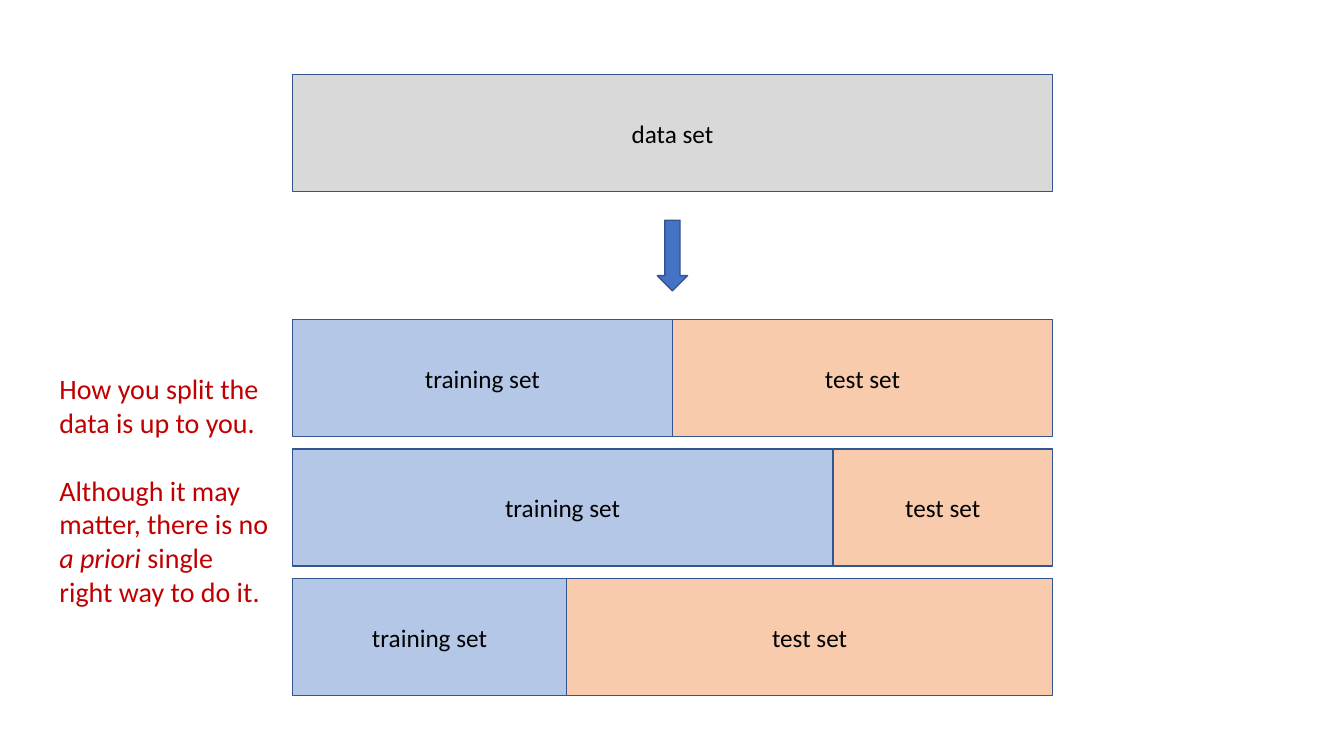
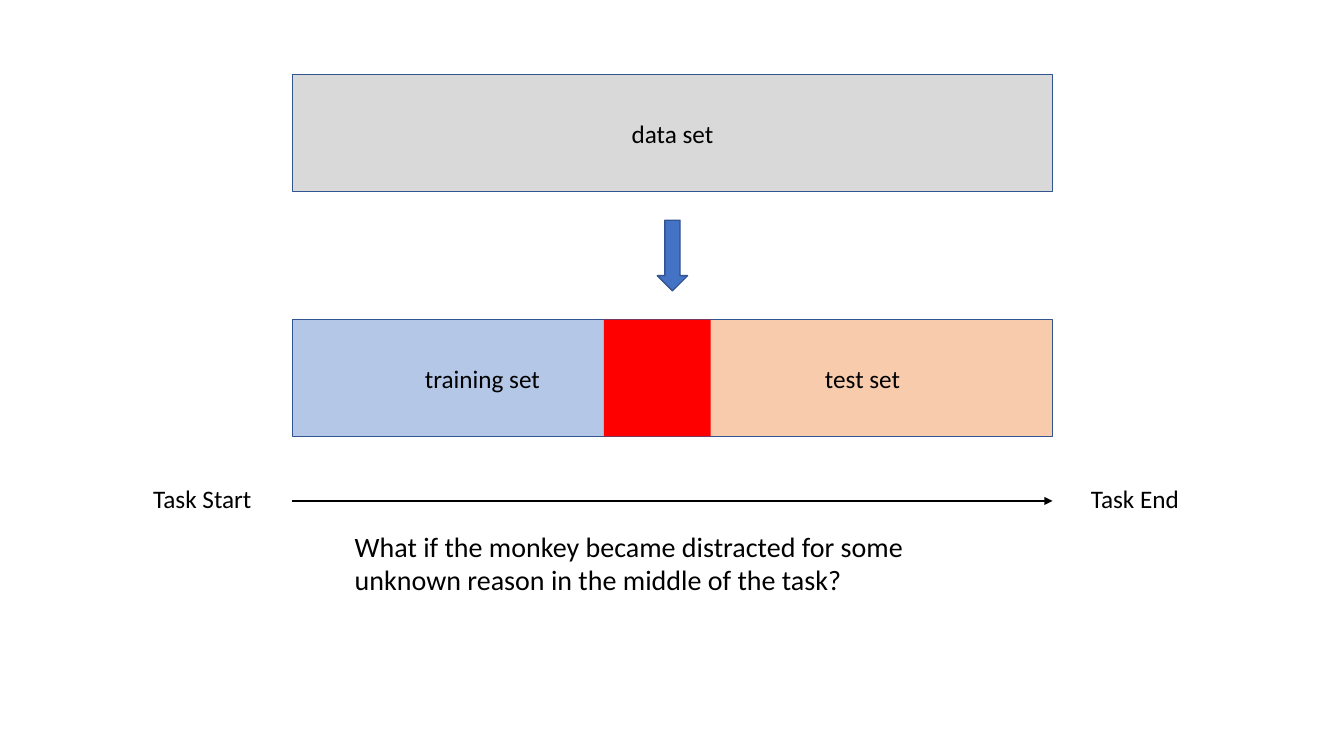
from dataclasses import dataclass

from lxml.etree import SubElement
from pptx import Presentation
from pptx.dml.color import RGBColor
from pptx.enum.shapes import MSO_CONNECTOR as Connector, MSO_SHAPE as Shape
from pptx.enum.text import MSO_ANCHOR as Anchor, PP_ALIGN as Align
from pptx.oxml.ns import qn
from pptx.util import Inches, Pt

COLORS = {
    "data": "D9D9D9",
    "training": "B4C7E7",
    "test": "F8CBAD",
    "arrow": "4472C4",
    "outline": "325491",
    "distraction": "FF0000",
    "note": "C00000",
    "text": "000000",
}
FONT = "Calibri"

# Bar geometry in inches
BAR_LEFT, BAR_WIDTH, BAR_HEIGHT = 2.9, 7.54, 1.16
BAR_RIGHT = BAR_LEFT + BAR_WIDTH
BAR_MIDDLE = BAR_LEFT + BAR_WIDTH / 2
DATA_TOP, SPLIT_TOP, SPLIT_PITCH = 0.74, 3.17, 1.285
ARROW_WIDTH, ARROW_HEIGHT = 0.3, 0.7


@dataclass(frozen=True)
class Box:
    left: float
    top: float
    width: float
    height: float

    def emu(self):
        return [Inches(v) for v in (self.left, self.top, self.width, self.height)]


@dataclass(frozen=True)
class Run:
    text: str
    italic: bool = False


@dataclass(frozen=True)
class Label:
    box: Box
    paragraphs: list[list[Run]]
    size: int = 18
    color: str = "text"
    wrap: bool = True


def rgb(name: str) -> RGBColor:
    return RGBColor.from_string(COLORS[name])


def add_run(p, run: Run, size: int, color: str) -> None:
    r = p.add_run()
    r.text = run.text
    r.font.name = FONT
    r.font.size = Pt(size)
    r.font.italic = run.italic
    r.font.color.rgb = rgb(color)


def add_block(slide, box: Box, fill: str, text: str = "",
              kind: Shape = Shape.RECTANGLE, outlined: bool = True) -> None:
    sp = slide.shapes.add_shape(kind, *box.emu())
    sp.shadow.inherit = False
    sp.fill.solid()
    sp.fill.fore_color.rgb = rgb(fill)
    if outlined:
        sp.line.color.rgb = rgb("outline")
        sp.line.width = Pt(1)
    else:
        sp.line.fill.background()
    if text:
        tf = sp.text_frame
        tf.vertical_anchor = Anchor.MIDDLE
        p = tf.paragraphs[0]
        p.alignment = Align.CENTER
        add_run(p, Run(text), 18, "text")


def add_label(slide, label: Label) -> None:
    tf = slide.shapes.add_textbox(*label.box.emu()).text_frame
    tf.word_wrap = label.wrap
    for i, runs in enumerate(label.paragraphs):
        p = tf.add_paragraph() if i else tf.paragraphs[0]
        if i:
            p.space_before = Pt(label.size * 1.22)  # one line of text
        for run in runs:
            add_run(p, run, label.size, label.color)


def add_split(slide, row: int, training_width: float) -> None:
    top = SPLIT_TOP + row * SPLIT_PITCH
    border = BAR_LEFT + training_width
    add_block(slide, Box(BAR_LEFT, top, training_width, BAR_HEIGHT),
              "training", "training set")
    add_block(slide, Box(border, top, BAR_RIGHT - border, BAR_HEIGHT),
              "test", "test set")


def add_timeline(slide, y: float) -> None:
    line = slide.shapes.add_connector(
        Connector.STRAIGHT, Inches(BAR_LEFT), Inches(y), Inches(BAR_RIGHT), Inches(y))
    line.line.color.rgb = rgb("text")
    line.line.width = Pt(1.5)
    SubElement(line.line._get_or_add_ln(), qn("a:tailEnd"), type="triangle")
    SubElement(line._element.spPr, qn("a:effectLst"))


def add_split_slide(prs, training_widths: list[float]):
    """Add a slide with the data set, the arrow and one bar per split."""
    slide = prs.slides.add_slide(prs.slide_layouts[6])
    add_block(slide, Box(BAR_LEFT, DATA_TOP, BAR_WIDTH, BAR_HEIGHT), "data", "data set")
    gap_middle = (DATA_TOP + BAR_HEIGHT + SPLIT_TOP) / 2
    add_block(slide, Box(BAR_MIDDLE - ARROW_WIDTH / 2, gap_middle - ARROW_HEIGHT / 2,
                         ARROW_WIDTH, ARROW_HEIGHT), "arrow", kind=Shape.DOWN_ARROW)
    for row, width in enumerate(training_widths):
        add_split(slide, row, width)
    return slide


def main() -> None:
    prs = Presentation()
    prs.slide_width, prs.slide_height = Inches(13.33), Inches(7.5)

    # Slide 1: different ways to split
    slide = add_split_slide(prs, [BAR_WIDTH / 2, 5.36, 2.72])
    add_label(slide, Label(Box(0.49, 3.64, 2.29, 2.46), [
        [Run("How you split the data is up to you.")],
        [Run("Although it may matter, there is no "), Run("a priori ", italic=True),
         Run("single right way to do it.")],
    ], size=20, color="note"))

    # Slide 2: a distraction in the middle of the task
    slide = add_split_slide(prs, [BAR_WIDTH / 2])
    add_block(slide, Box(5.99, SPLIT_TOP, 1.06, BAR_HEIGHT), "distraction", outlined=False)
    add_timeline(slide, 4.97)
    for label in (
        Label(Box(1.42, 4.75, 1.19, 0.4), [[Run("Task Start")]], wrap=False),
        Label(Box(10.72, 4.75, 1.09, 0.4), [[Run("Task End")]], wrap=False),
        Label(Box(3.42, 5.2, 6.5, 0.77), [[Run(
            "What if the monkey became distracted for some unknown reason "
            "in the middle of the task?")]], size=20),
    ):
        add_label(slide, label)

    prs.save("out.pptx")


if __name__ == "__main__":
    main()
